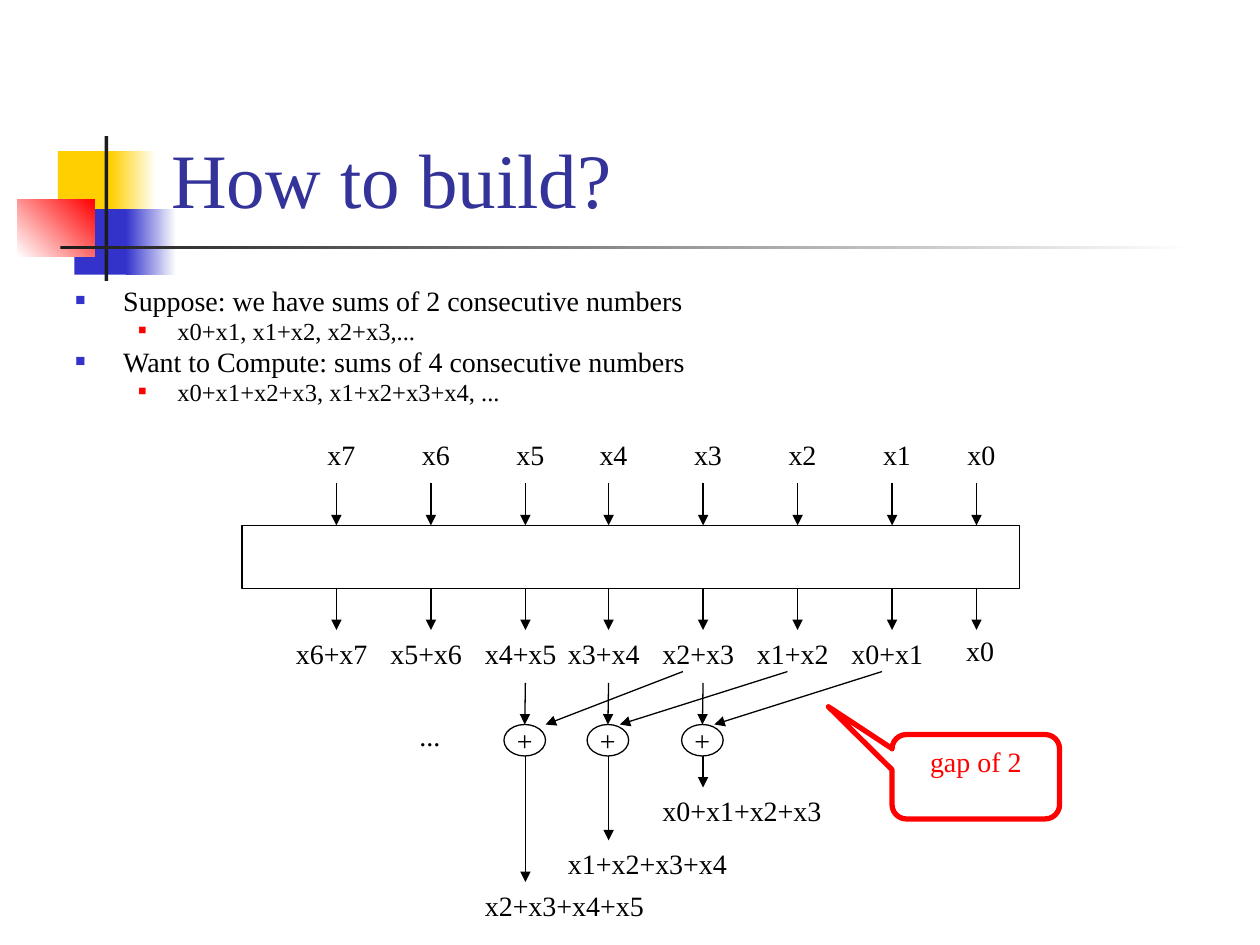
from typing import NamedTuple

from lxml import etree
from pptx import Presentation
from pptx.dml.color import RGBColor
from pptx.enum import shapes, text
from pptx.oxml import ns
from pptx.util import Inches, Pt

FONT = "Times New Roman"
BLACK = RGBColor(0x00, 0x00, 0x00)
WHITE = RGBColor(0xFF, 0xFF, 0xFF)
RED = RGBColor(0xFF, 0x00, 0x00)
BLUE = RGBColor(0x33, 0x33, 0xCC)
NAVY = RGBColor(0x33, 0x33, 0x99)
GOLD = RGBColor(0xFF, 0xCF, 0x01)
DARK = RGBColor(0x1C, 0x1C, 0x1C)
KIND = shapes.MSO_SHAPE


class Block(NamedTuple):
    left: float
    top: float
    width: float
    height: float
    start: RGBColor
    end: RGBColor | None = None
    angle: int = 0


class Level(NamedTuple):
    size: int
    left: float
    hang: float
    color: RGBColor
    scale: int


class Adder(NamedTuple):
    col: int
    base: float
    shift: float
    reach: float


BLOCKS = [
    Block(0.46, 1.2, 0.48, 0.52, GOLD),
    Block(0.88, 1.2, 0.36, 0.52, GOLD, WHITE),
    Block(0.59, 1.66, 0.46, 0.52, BLUE),
    Block(1, 1.66, 0.4, 0.52, BLUE, WHITE),
    Block(0.14, 1.58, 0.61, 0.46, WHITE, RED, 45),
    Block(0.83, 1.08, 0.03, 1.15, DARK),
    Block(0.48, 1.95, 9, 0.03, DARK, WHITE),
]
LEVELS = [Level(16, 0.38, 0.38, BLUE, 60), Level(14, 0.81, 0.31, RED, 55)]
POINTS = [
    (0, "Suppose: we have sums of 2 consecutive numbers"),
    (1, "x0+x1, x1+x2, x2+x3,..."),
    (0, "Want to Compute: sums of 4 consecutive numbers"),
    (1, "x0+x1+x2+x3, x1+x2+x3+x4, ..."),
]
COLS = [7.75, 7.08, 6.33, 5.58, 4.83, 4.17, 3.42, 2.67]
ADDERS = [
    Adder(3, 6.25, 0.08, 0.09),
    Adder(4, 6.67, 0.08, 0.09),
    Adder(5, 7, 0.16, 0.16),
]


def style(par, size: float, color: RGBColor) -> None:
    for run in par.runs:
        run.font.name = FONT
        run.font.size = Pt(size)
        run.font.color.rgb = color


def shape(slide, kind, left: float, top: float, width: float, height: float):
    item = slide.shapes.add_shape(
        kind, Inches(left), Inches(top), Inches(width), Inches(height))
    item.shadow.inherit = False
    item.fill.background()
    return item


def outline(item, color: RGBColor, width: float) -> None:
    item.line.color.rgb = color
    item.line.width = Pt(width)


def block(slide, part: Block) -> None:
    item = shape(slide, KIND.RECTANGLE, *part[:4])
    item.line.fill.background()
    if part.end is None:
        item.fill.solid()
        item.fill.fore_color.rgb = part.start
        return
    item.fill.gradient()
    item.fill.gradient_angle = part.angle
    for stop, color in zip(item.fill.gradient_stops, (part.start, part.end)):
        stop.color.rgb = color


def label(slide, words: str, left: float, top: float, width: float) -> None:
    box = slide.shapes.add_textbox(
        Inches(left), Inches(top), Inches(width), Inches(0.37))
    frame = box.text_frame
    frame.word_wrap = False
    frame.auto_size = text.MSO_AUTO_SIZE.SHAPE_TO_FIT_TEXT
    frame.text = words
    style(frame.paragraphs[0], 16, BLACK)


def arrow(slide, x1: float, y1: float, x2: float, y2: float):
    line = slide.shapes.add_connector(
        shapes.MSO_CONNECTOR.STRAIGHT,
        Inches(x1), Inches(y1), Inches(x2), Inches(y2))
    outline(line, BLACK, 0.75)
    tip = etree.SubElement(line.line._get_or_add_ln(), ns.qn("a:tailEnd"))
    tip.set("type", "triangle")
    etree.SubElement(line._element.spPr, ns.qn("a:effectLst"))
    return line


def bullet(par, level: Level) -> None:
    props = par._p.get_or_add_pPr()
    props.set("marL", str(Inches(level.left)))
    props.set("indent", str(-Inches(level.hang)))
    tint = etree.SubElement(props, ns.qn("a:buClr"))
    etree.SubElement(tint, ns.qn("a:srgbClr")).set("val", str(level.color))
    size = etree.SubElement(props, ns.qn("a:buSzPct"))
    size.set("val", str(level.scale * 1000))
    etree.SubElement(props, ns.qn("a:buFont")).set("typeface", FONT)
    etree.SubElement(props, ns.qn("a:buChar")).set("char", "■")


def points(slide) -> None:
    box = slide.shapes.add_textbox(
        Inches(0.5), Inches(2.25), Inches(5.67), Inches(1.08))
    frame = box.text_frame
    frame.word_wrap = True
    frame.text = "\n".join(words for _, words in POINTS)
    for par, (depth, _) in zip(frame.paragraphs, POINTS):
        level = LEVELS[depth]
        par.level = depth
        par.line_spacing = 0.8
        par.space_before = Pt(level.size * 0.2)
        bullet(par, level)
        style(par, level.size, BLACK)


def title(slide) -> None:
    head = slide.shapes.title
    head.left, head.top = Inches(1.26), Inches(0.23)
    head.width, head.height = Inches(8.52), Inches(1.6)
    frame = head.text_frame
    frame.text = "How to build?"
    frame.auto_size = text.MSO_AUTO_SIZE.NONE
    frame.vertical_anchor = text.MSO_ANCHOR.BOTTOM
    frame.paragraphs[0].alignment = text.PP_ALIGN.LEFT
    style(frame.paragraphs[0], 44, NAVY)


def stage(slide) -> None:
    outline(shape(slide, KIND.RECTANGLE, 1.92, 4.17, 6.17, 0.5), BLACK, 0.75)
    for num, col in enumerate(COLS):
        arrow(slide, col, 3.83, col, 4.17)
        label(slide, f"x{num}", col - 0.17, 3.42, 0.42)
        arrow(slide, col, 4.67, col, 5)
        if num:
            label(slide, f"x{num - 1}+x{num}", col - 0.42, 5, 0.77)
    label(slide, "x0", 7.57, 4.98, 0.42)


def adder(slide, part: Adder) -> None:
    col = COLS[part.col]
    oval = shape(slide, KIND.OVAL, col - 0.17, 5.75, 0.33, 0.25)
    outline(oval, BLACK, 0.75)
    frame = oval.text_frame
    frame.word_wrap = False
    frame.vertical_anchor = text.MSO_ANCHOR.MIDDLE
    frame.text = "+"
    frame.paragraphs[0].alignment = text.PP_ALIGN.CENTER
    style(frame.paragraphs[0], 16, BLACK)
    arrow(slide, col, 5.42, col, 5.75).end_connect(oval, 0)
    arrow(slide, col, 6, col, part.base)
    arrow(slide, COLS[part.col - 2] - part.shift, 5.33, col + part.reach, 5.75)
    first = part.col - 3
    total = "+".join(f"x{num}" for num in range(first, first + 4))
    label(slide, total, col - 0.42, part.base, 1.47)


def callout(slide) -> None:
    note = shape(slide, KIND.ROUNDED_RECTANGULAR_CALLOUT,
                 7.08, 5.83, 1.33, 0.67)
    for num, value in enumerate((-0.88, -0.83, 0.17)):
        note.adjustments[num] = value
    outline(note, RED, 3)
    frame = note.text_frame
    frame.word_wrap = True
    frame.vertical_anchor = text.MSO_ANCHOR.TOP
    frame.text = "gap of 2"
    frame.paragraphs[0].alignment = text.PP_ALIGN.CENTER
    style(frame.paragraphs[0], 16, RED)


def main() -> None:
    deck = Presentation()
    deck.slide_width, deck.slide_height = Inches(10), Inches(7.5)
    slide = deck.slides.add_slide(deck.slide_layouts[5])
    for part in BLOCKS:
        block(slide, part)
    title(slide)
    points(slide)
    stage(slide)
    for part in ADDERS:
        adder(slide, part)
    label(slide, "...", 3.23, 5.65, 0.37)
    callout(slide)
    deck.save("out.pptx")


if __name__ == "__main__":
    main()
